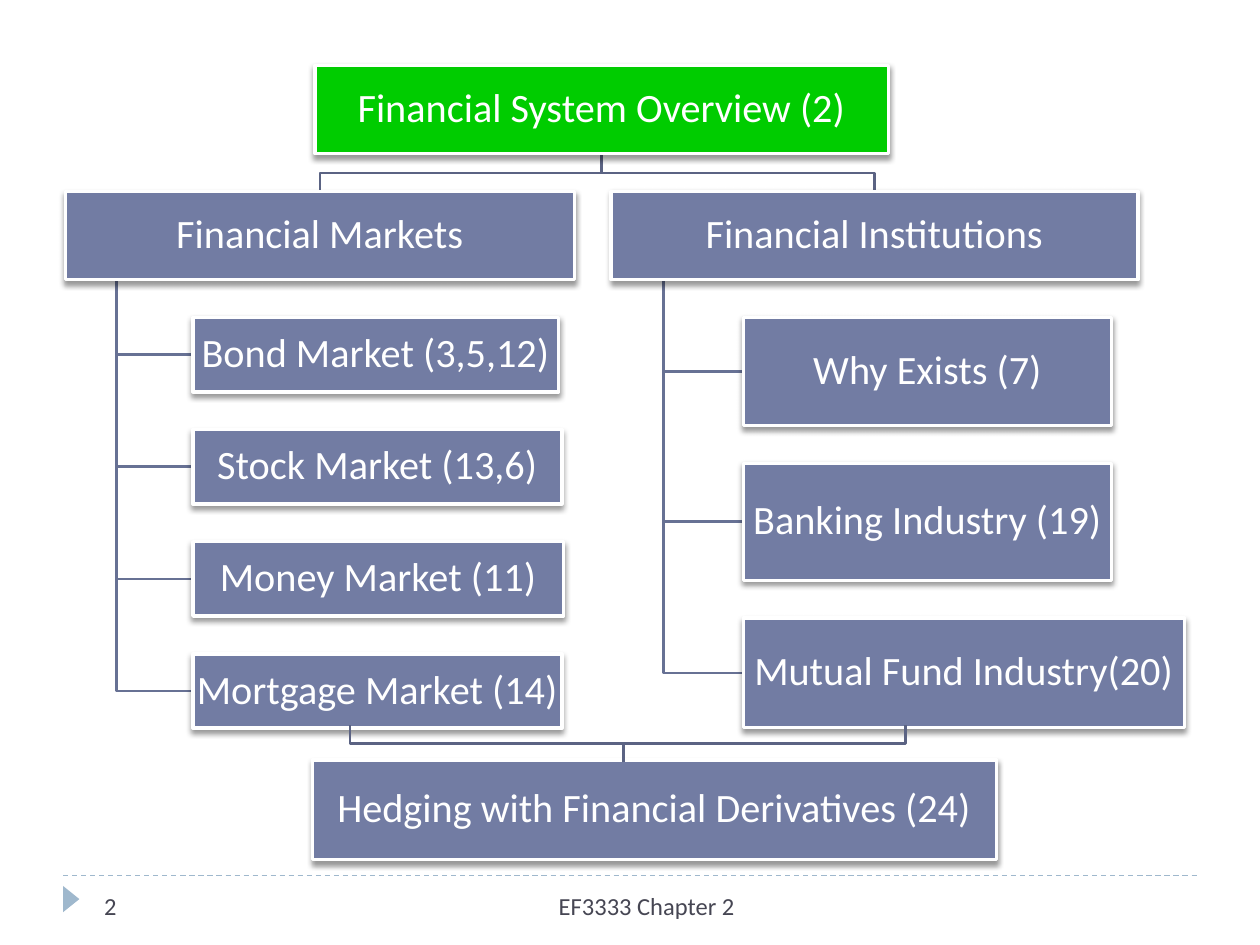
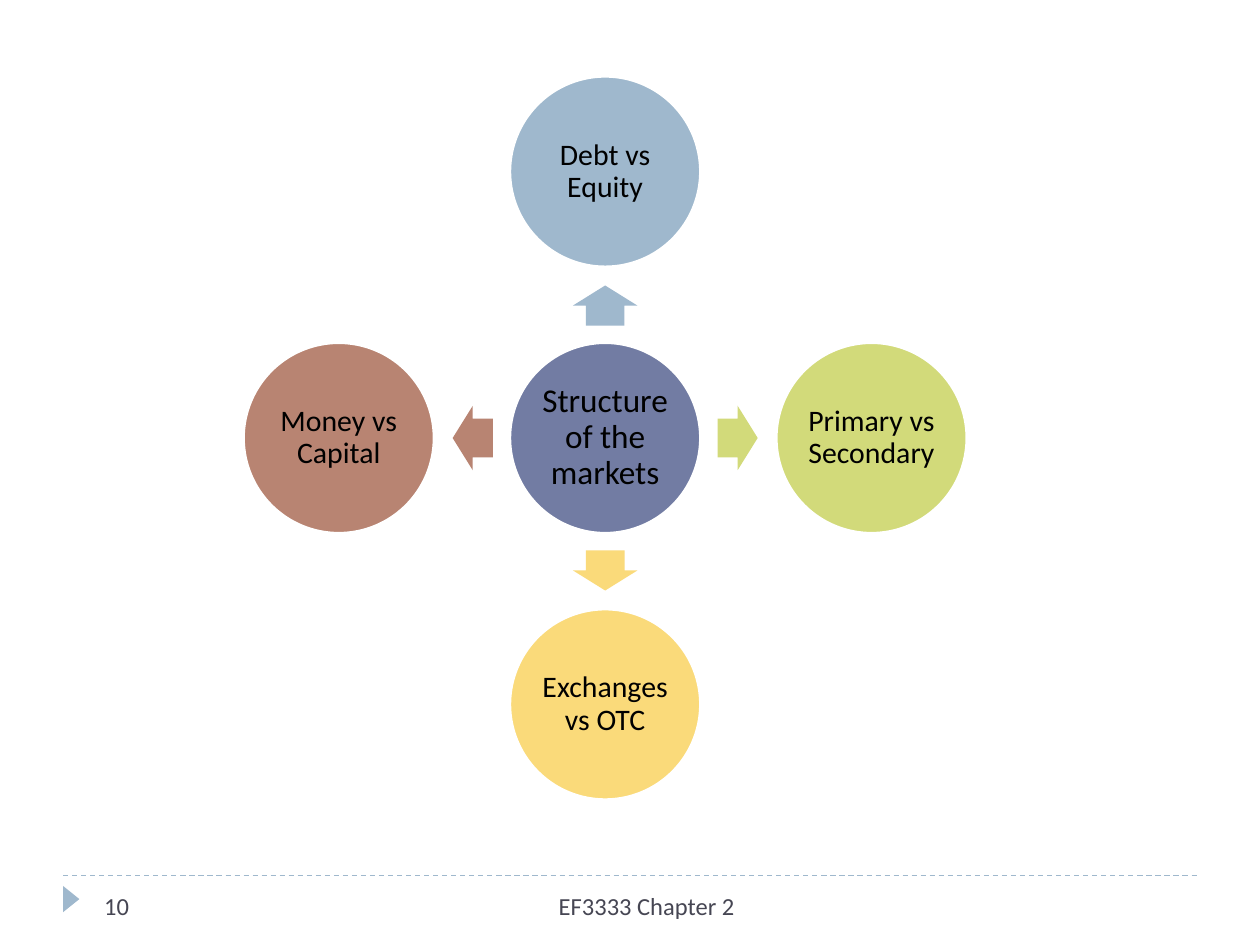
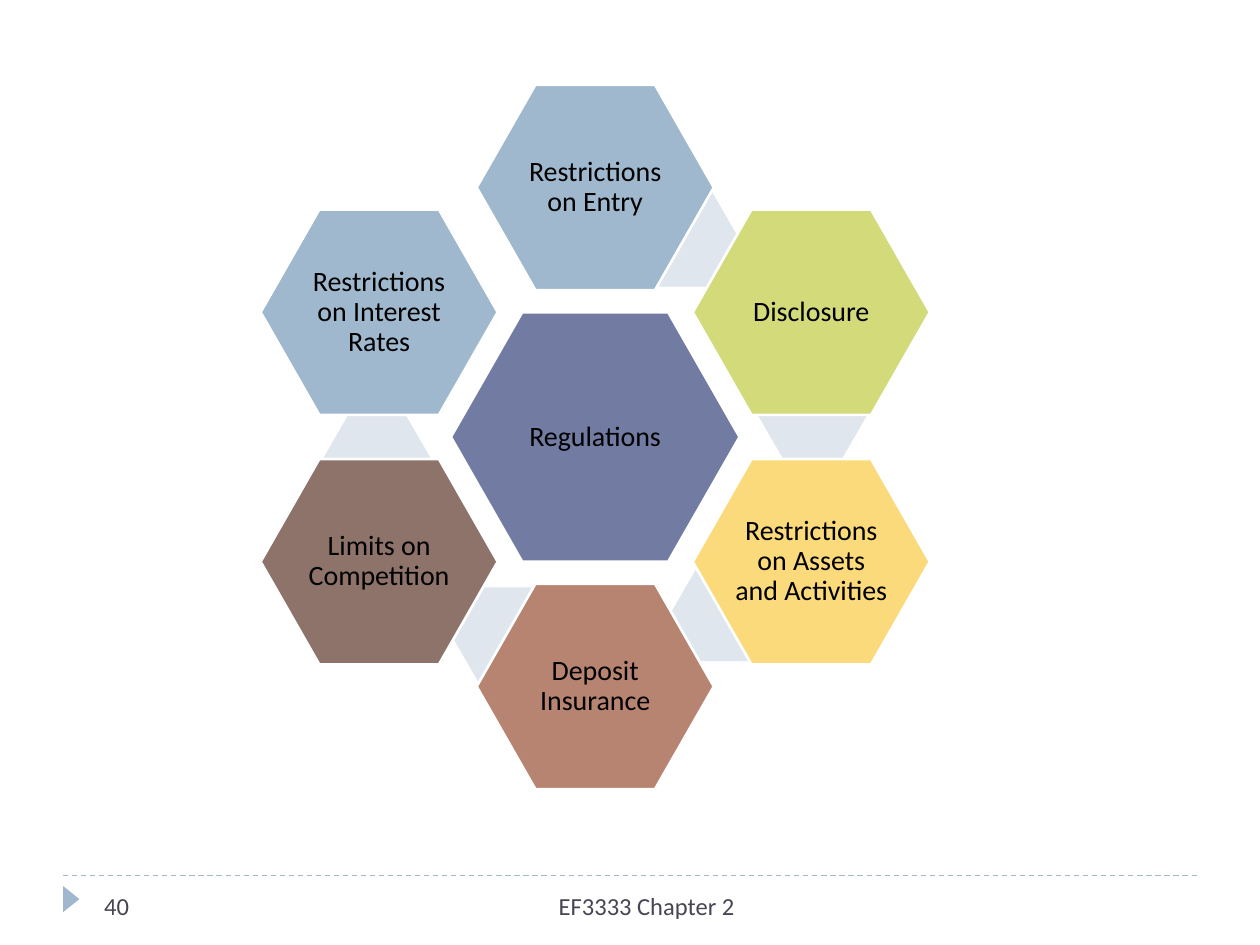
from math import cos, radians, sin

from lxml import etree
from pptx import Presentation
from pptx.dml.color import RGBColor
from pptx.enum.dml import MSO_LINE
from pptx.enum.shapes import MSO_CONNECTOR, MSO_SHAPE
from pptx.enum.text import MSO_ANCHOR, PP_ALIGN
from pptx.oxml.ns import qn
from pptx.util import Cm, Pt

FONT = "Calibri"
FOOTER = "EF3333 Chapter 2"

WHITE = RGBColor(0xFF, 0xFF, 0xFF)
BLACK = RGBColor(0x00, 0x00, 0x00)
SLATE = RGBColor(0x46, 0x46, 0x53)
GREEN = RGBColor(0x00, 0xCC, 0x00)
INDIGO = RGBColor(0x72, 0x7C, 0xA3)
BLUE = RGBColor(0x9F, 0xB8, 0xCD)
LIME = RGBColor(0xD2, 0xDA, 0x7A)
YELLOW = RGBColor(0xFA, 0xDA, 0x7A)
CLAY = RGBColor(0xB8, 0x84, 0x72)
BROWN = RGBColor(0x8E, 0x73, 0x6A)
PALE = RGBColor(0xDF, 0xE6, 0xED)
FORK_LINE = RGBColor(0x5B, 0x63, 0x83)
BRANCH_LINE = RGBColor(0x67, 0x71, 0x94)

# Organisation chart measures, in cm
HEAD_H = 1.78
HEAD_TOP = 3.86
CHILD_TOP = 6.4
CHILD_GAP = 0.76


# ---- Elements ----

def write(sp, text, size, color, align):
    p = sp.text_frame.paragraphs[0]
    p.alignment = align
    r = p.add_run()
    r.text = text
    r.font.name = FONT
    r.font.size = Pt(size)
    r.font.color.rgb = color
    return p


def add_text(s, text, left, width, align):
    sp = s.shapes.add_textbox(Cm(left), Cm(17.83), Cm(width), Cm(1.02))
    sp.text_frame.word_wrap = True
    write(sp, text, 14, SLATE, align)


def add_figure(s, kind, left, top, w, h, fill, border=0, adj=None, rot=0):
    sp = s.shapes.add_shape(kind, Cm(left), Cm(top), Cm(w), Cm(h))
    sp.shadow.inherit = False
    sp.fill.solid()
    sp.fill.fore_color.rgb = fill
    if border:
        sp.line.color.rgb = WHITE
        sp.line.width = Pt(border)
    else:
        sp.line.fill.background()
    for i, value in enumerate(adj or []):
        sp.adjustments[i] = value
    sp.rotation = rot
    return sp


def add_centred(s, kind, cx, cy, w, h, fill, **options):
    return add_figure(s, kind, cx - w / 2, cy - h / 2, w, h, fill, **options)


def label(sp, text, size, color=BLACK):
    tf = sp.text_frame
    tf.word_wrap = True
    tf.vertical_anchor = MSO_ANCHOR.MIDDLE
    tf.margin_left = tf.margin_right = Cm(0.05)
    tf.margin_top = tf.margin_bottom = Cm(0.05)
    write(sp, text, size, color, PP_ALIGN.CENTER).line_spacing = 0.9


def drop_shadow(sp):
    effects = sp._element.spPr.find(qn("a:effectLst"))
    shadow = etree.SubElement(effects, qn("a:outerShdw"), blurRad=str(Pt(3)),
                              dist=str(Pt(2)), dir="5400000", rotWithShape="0")
    color = etree.SubElement(shadow, qn("a:srgbClr"), val="000000")
    etree.SubElement(color, qn("a:alpha"), val="40000")


def add_box(s, text, left, top, w, h, fill=INDIGO):
    sp = add_figure(s, MSO_SHAPE.RECTANGLE, left, top, w, h, fill, border=2)
    drop_shadow(sp)
    label(sp, text, 23, WHITE)


def add_polyline(s, points, color):
    start, *rest = [(Cm(x), Cm(y)) for x, y in points]
    builder = s.shapes.build_freeform(*start)
    builder.add_line_segments(rest, close=False)
    sp = builder.convert_to_shape()
    sp.shadow.inherit = False
    sp.fill.background()
    sp.line.color.rgb = color
    sp.line.width = Pt(1.5)


def add_fork(s, hub_x, hub_y, end_xs, end_y):
    mid_y = (hub_y + end_y) / 2
    for x in end_xs:
        add_polyline(s, [(hub_x, hub_y), (hub_x, mid_y), (x, mid_y), (x, end_y)], FORK_LINE)


def add_branch(s, head, left, w, child_left, children):
    """A heading box with a stack of boxes hanging from a trunk line."""
    trunk_x, trunk_y = left + w / 10, HEAD_TOP + HEAD_H
    top = CHILD_TOP
    for text, child_w, child_h in children:
        mid_y = top + child_h / 2
        add_polyline(s, [(trunk_x, trunk_y), (trunk_x, mid_y), (child_left, mid_y)], BRANCH_LINE)
        add_box(s, text, child_left, top, child_w, child_h)
        top += child_h + CHILD_GAP
    add_box(s, head, left, HEAD_TOP, w, HEAD_H)


def add_slide(prs, number):
    s = prs.slides.add_slide(prs.slide_layouts[6])
    rule = s.shapes.add_connector(MSO_CONNECTOR.STRAIGHT, Cm(1.27), Cm(17.65), Cm(24.13), Cm(17.65))
    rule.line.color.rgb = BLUE
    rule.line.width = Pt(0.75)
    rule.line.dash_style = MSO_LINE.DASH
    etree.SubElement(rule._element.spPr, qn("a:effectLst"))
    add_figure(s, MSO_SHAPE.ISOSCELES_TRIANGLE, 1.17, 17.96, 0.53, 0.33, BLUE, rot=90)
    add_text(s, FOOTER, 8.2, 6.86, PP_ALIGN.RIGHT)
    add_text(s, str(number), 1.85, 5.51, PP_ALIGN.LEFT)
    return s


# ---- Slides ----

def overview_slide(prs):
    s = add_slide(prs, 2)
    add_fork(s, 12.13, 3.12, [6.45, 17.63], HEAD_TOP)
    add_box(s, "Financial System Overview (2)", 6.35, 1.32, 11.56, HEAD_H, GREEN)
    add_branch(s, "Financial Markets", 1.32, 10.26, 3.89, [
        ("Bond Market (3,5,12)", 7.37, 1.5),
        ("Stock Market (13,6)", 7.44, 1.5),
        ("Money Market (11)", 7.47, 1.5),
        ("Mortgage Market (14)", 7.44, 1.5),
    ])
    add_branch(s, "Financial Institutions", 12.32, 10.62, 14.99, [
        ("Why Exists (7)", 7.42, 2.18),
        ("Banking Industry (19)", 7.42, 2.36),
        ("Mutual Fund Industry(20)", 8.89, 2.21),
    ])
    add_box(s, "Hedging with Financial Derivatives (24)", 6.3, 15.32, 13.79, 2.01)
    add_fork(s, 12.57, 15.37, [7.06, 18.26], 14.61)


def structure_slide(prs):
    s = add_slide(prs, 10)
    cx, cy, diameter = 12.2, 8.83, 3.84
    orbit, arrow_orbit = 5.37, 2.67

    def add_circle(text, x, y, fill, size):
        sp = add_centred(s, MSO_SHAPE.OVAL, x, y, diameter, diameter, fill, border=1.5)
        label(sp, text, size)

    add_circle("Structure of the markets", cx, cy, INDIGO, 19)
    for angle, text, fill in [
        (270, "Debt vs Equity", BLUE),
        (0, "Primary vs Secondary", LIME),
        (90, "Exchanges vs OTC", YELLOW),
        (180, "Money vs Capital", CLAY),
    ]:
        dx, dy = cos(radians(angle)), sin(radians(angle))
        add_centred(s, MSO_SHAPE.RIGHT_ARROW, cx + arrow_orbit * dx, cy + arrow_orbit * dy,
                    0.81, 1.3, fill, adj=[0.6, 0.5], rot=angle)
        add_circle(text, cx + orbit * dx, cy + orbit * dy, fill, 17)


def regulations_slide(prs):
    s = add_slide(prs, 40)
    cx, cy, orbit = 12, 8.81, 5.03

    def add_hexagon(text, x, y, w, h, fill):
        sp = add_centred(s, MSO_SHAPE.HEXAGON, x, y, w, h, fill, border=1.5, adj=[0.286])
        label(sp, text, 16)

    add_hexagon("Regulations", cx, cy, 5.82, 5.03, INDIGO)
    # Clockwise from the top; each link is an offset from the centre
    petals = [
        ("Restrictions on Entry", BLUE, (1.82, -3.98)),
        ("Disclosure", LIME, (4.38, -0.42)),
        ("Restrictions on Assets and Activities", YELLOW, (2.6, 3.57)),
        ("Deposit Insurance", CLAY, (-1.82, 3.98)),
        ("Limits on Competition", BROWN, (-4.4, 0.44)),
        ("Restrictions on Interest Rates", BLUE, None),
    ]
    for i, (text, fill, link) in enumerate(petals):
        if link:
            add_centred(s, MSO_SHAPE.HEXAGON, cx + link[0], cy + link[1], 2.18, 1.9, PALE, adj=[0.289])
        angle = radians(60 * i - 90)
        add_hexagon(text, cx + orbit * cos(angle), cy + orbit * sin(angle), 4.78, 4.14, fill)


def main():
    prs = Presentation()
    prs.slide_width, prs.slide_height = Cm(25.4), Cm(19.05)
    overview_slide(prs)
    structure_slide(prs)
    regulations_slide(prs)
    prs.save("out.pptx")


if __name__ == "__main__":
    main()
